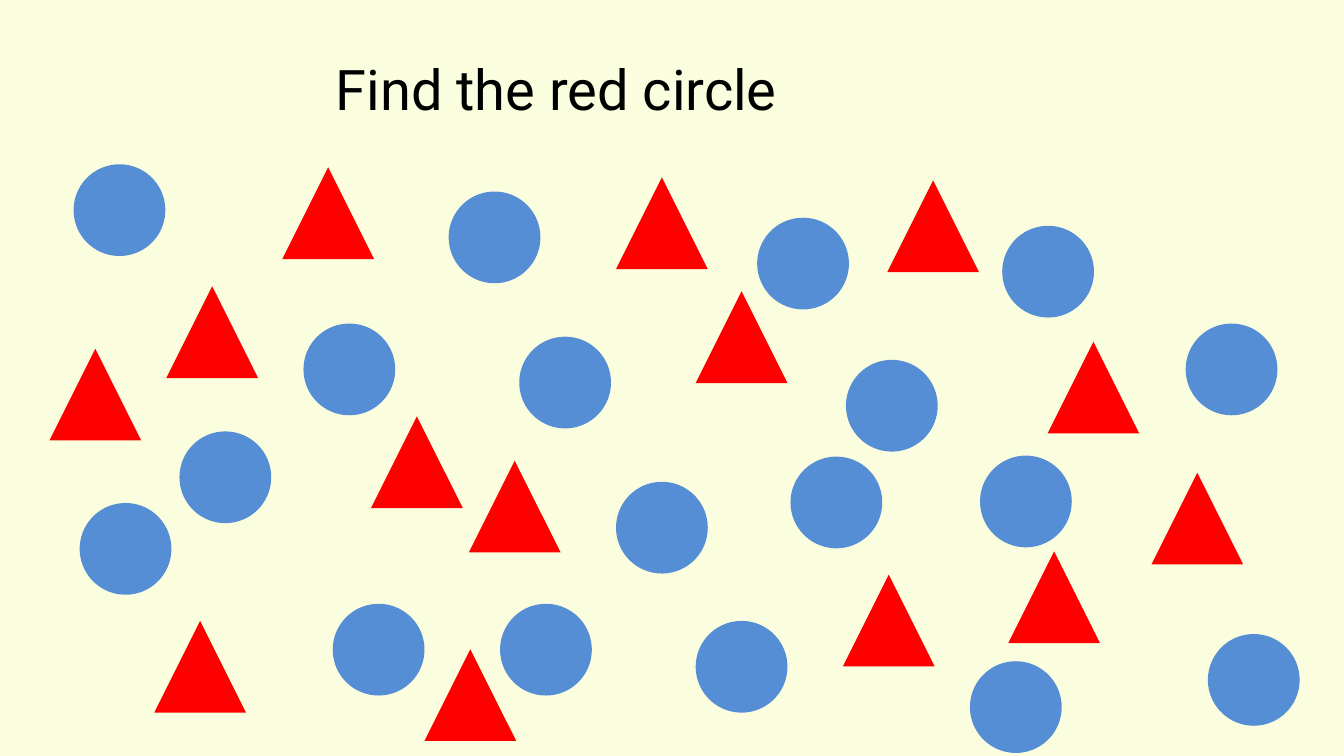
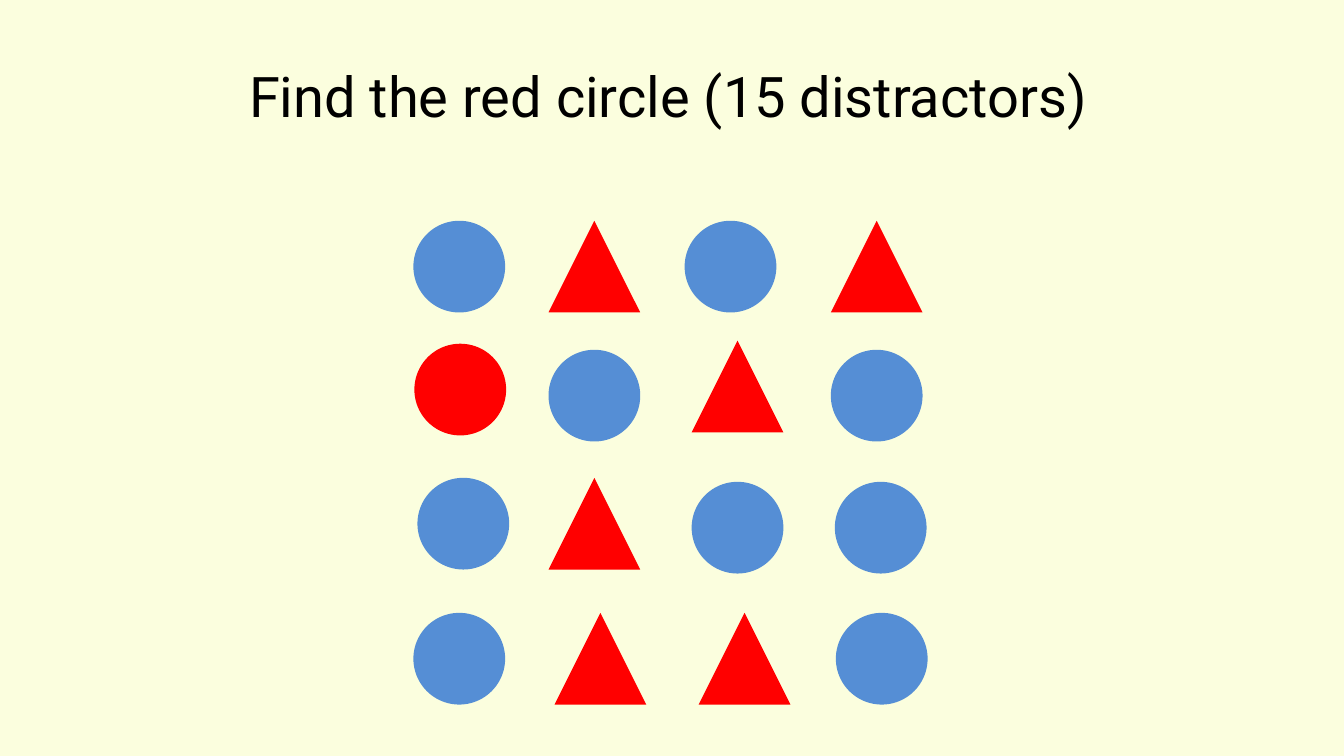
from pptx import Presentation
from pptx.dml.color import RGBColor
from pptx.enum.shapes import MSO_SHAPE
from pptx.enum.text import MSO_ANCHOR, MSO_AUTO_SIZE, PP_ALIGN
from pptx.util import Inches, Pt

CIRCLE = MSO_SHAPE.OVAL
TRIANGLE = MSO_SHAPE.ISOSCELES_TRIANGLE
LEFT = PP_ALIGN.LEFT
TOP = MSO_ANCHOR.TOP
NO_AUTOFIT = MSO_AUTO_SIZE.NONE

COLORS = {"background": "FBFEDE", "text": "000000", "blue": "558ED5", "red": "FF0000"}
FONT = "Roboto"
TITLE_SIZE = 40
TITLE_HEIGHT = 0.77
ITEM_SIZE = 0.91
TITLE_ONLY = 5

# Kinds of search item: preset shape and colour
ITEM_KINDS = {
    "blue circle": (CIRCLE, "blue"),
    "red triangle": (TRIANGLE, "red"),
    "red circle": (CIRCLE, "red"),
}

# Each display: title, its (left, top, width), and the (left, top) of its items by kind
DISPLAYS = [
    {
        "title": "Find the red circle",
        "title_at": (3.23, 0.49, 6.67),
        "items": {
            "blue circle": [
                (0.73, 1.63), (4.45, 1.9), (7.51, 2.16), (9.94, 2.24),
                (3.01, 3.21), (5.15, 3.34), (8.39, 3.57), (11.76, 3.21),
                (1.78, 4.28), (0.79, 4.99), (6.11, 4.78), (7.84, 4.53),
                (9.72, 4.52), (3.3, 5.99), (4.96, 5.99), (6.9, 6.16),
                (9.62, 6.56), (11.98, 6.29),
            ],
            "red triangle": [
                (2.8, 1.66), (6.11, 1.76), (8.8, 1.79), (1.65, 2.84),
                (6.9, 2.89), (0.49, 3.46), (10.39, 3.39), (3.68, 4.13),
                (4.65, 4.57), (11.42, 4.69), (8.36, 5.7), (10, 5.47),
                (1.53, 6.16), (4.21, 6.44),
            ],
        },
    },
    {
        "title": "Find the red circle (15 distractors)",
        "title_at": (2.37, 0.56, 8.6),
        "items": {
            "blue circle": [
                (4.1, 2.19), (6.79, 2.19), (5.44, 3.47), (8.24, 3.47),
                (4.14, 4.74), (6.86, 4.78), (8.28, 4.78), (4.1, 6.08),
                (8.29, 6.08),
            ],
            "red triangle": [
                (5.44, 2.19), (8.24, 2.19), (6.86, 3.38), (5.44, 4.74),
                (5.5, 6.08), (6.93, 6.08),
            ],
            "red circle": [(4.11, 3.41)],
        },
    },
]


def rgb(color):
    return RGBColor.from_string(COLORS[color])


def write_text(frame, text, size=TITLE_SIZE, color="text", align=LEFT, anchor=TOP):
    frame.word_wrap = True
    frame.auto_size = NO_AUTOFIT
    frame.vertical_anchor = anchor
    paragraph = frame.paragraphs[0]
    paragraph.text = text
    paragraph.alignment = align
    paragraph.font.name = FONT
    paragraph.font.size = Pt(size)
    paragraph.font.color.rgb = rgb(color)


def add_title(slide, text, left, top, width):
    title = slide.shapes.title
    title.left, title.top = Inches(left), Inches(top)
    title.width, title.height = Inches(width), Inches(TITLE_HEIGHT)
    write_text(title.text_frame, text)


def add_item(slide, kind, left, top):
    preset, color = ITEM_KINDS[kind]
    side = Inches(ITEM_SIZE)
    item = slide.shapes.add_shape(preset, Inches(left), Inches(top), side, side)
    item.shadow.inherit = False
    item.fill.solid()
    item.fill.fore_color.rgb = rgb(color)
    item.line.fill.background()


def main():
    prs = Presentation()
    prs.slide_width, prs.slide_height = Inches(13.33), Inches(7.5)
    background = prs.slide_master.background.fill
    background.solid()
    background.fore_color.rgb = rgb("background")

    for display in DISPLAYS:
        slide = prs.slides.add_slide(prs.slide_layouts[TITLE_ONLY])
        add_title(slide, display["title"], *display["title_at"])
        for kind, places in display["items"].items():
            for left, top in places:
                add_item(slide, kind, left, top)

    prs.save("out.pptx")


if __name__ == "__main__":
    main()
